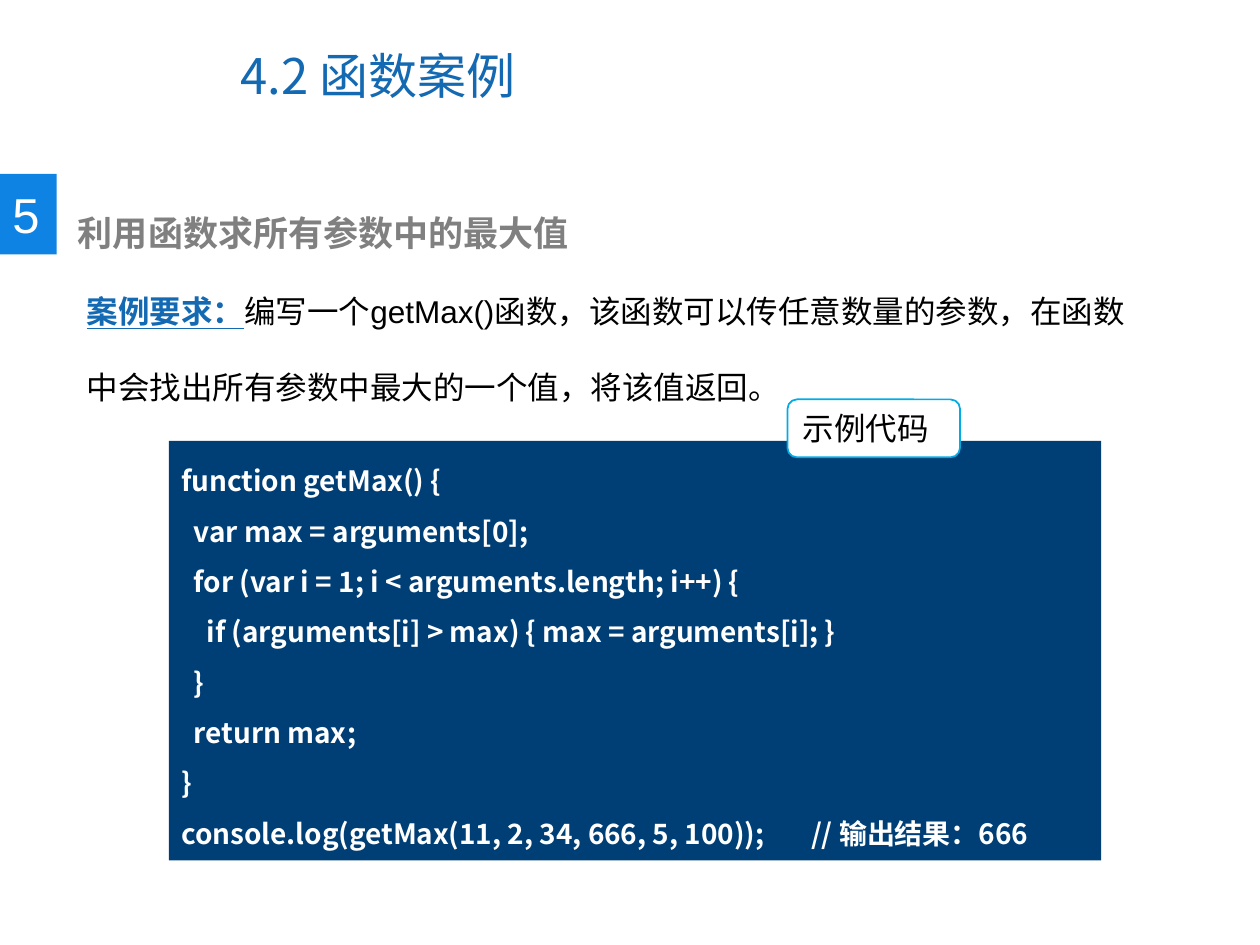
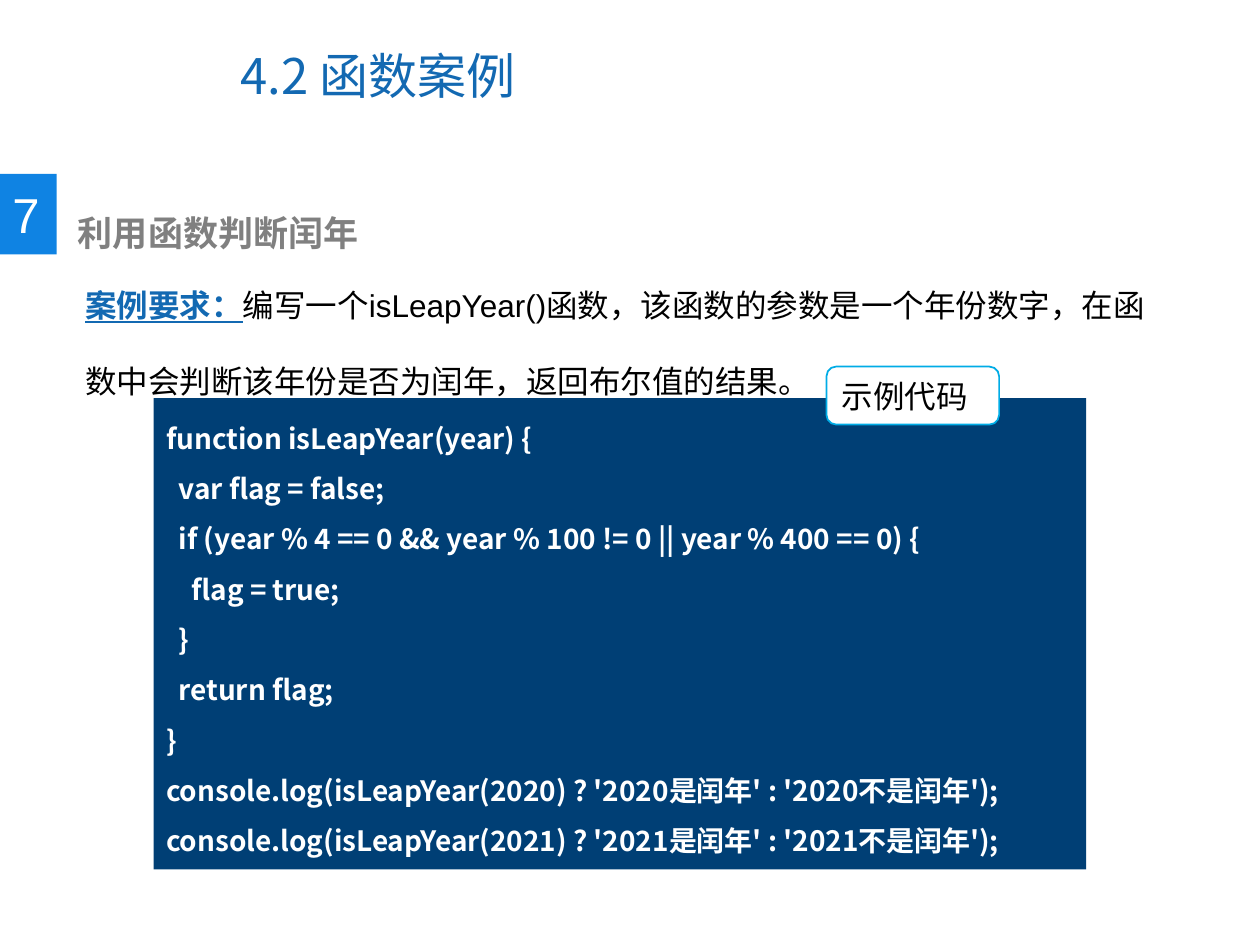
from dataclasses import dataclass

from lxml.etree import SubElement
from pptx import Presentation
from pptx.dml.color import RGBColor
from pptx.enum.shapes import MSO_SHAPE
from pptx.enum.text import MSO_ANCHOR, PP_ALIGN
from pptx.oxml.ns import qn
from pptx.util import Inches, Pt


@dataclass(frozen=True)
class Theme:
    blue: str = "1369B2"
    bright: str = "0F83E3"
    navy: str = "003F75"
    cyan: str = "00ACE6"
    gray: str = "808080"
    black: str = "000000"
    white: str = "FFFFFF"
    latin: str = "Arial"
    cjk: str = "Noto Sans CJK SC"
    large: int = 28
    head: int = 20
    body: int = 18
    code: int = 16


THEME = Theme()

CASES = [
    {
        "number": "5",
        "heading": "利用函数求所有参数中的最大值",
        "task": "编写一个getMax()函数，该函数可以传任意数量的参数，"
                "在函数中会找出所有参数中最大的一个值，将该值返回。",
        "task_box": (0.59, 1.97, 8.65, 1.31),
        "code_box": (1.34, 3.5, 7.4, 3.33),
        "label_shift": (4.91, -0.33),
        "code": """function getMax() {
  var max = arguments[0];
  for (var i = 1; i < arguments.length; i++) {
    if (arguments[i] > max) { max = arguments[i]; }
  }
  return max;
}
console.log(getMax(11, 2, 34, 666, 5, 100));\t// 输出结果：666""",
    },
    {
        "number": "7",
        "heading": "利用函数判断闰年",
        "task": "编写一个isLeapYear()函数，该函数的参数是一个年份数字，"
                "在函数中会判断该年份是否为闰年，返回布尔值的结果。",
        "task_box": (0.58, 1.92, 8.65, 1.31),
        "code_box": (1.22, 3.16, 7.4, 3.74),
        "label_shift": (5.34, -0.25),
        "code": """function isLeapYear(year) {
  var flag = false;
  if (year % 4 == 0 && year % 100 != 0 || year % 400 == 0) {
    flag = true;
  }
  return flag;
}
console.log(isLeapYear(2020) ? '2020是闰年' : '2020不是闰年');
console.log(isLeapYear(2021) ? '2021是闰年' : '2021不是闰年');""",
    },
]


def add_run(para, text, size, color, font=THEME.latin, bold=False, under=False):
    run = para.add_run()
    run.text = text
    run.font.size = Pt(size)
    run.font.color.rgb = RGBColor.from_string(color)
    run.font.name = font
    run.font.bold = bold
    run.font.underline = under
    SubElement(run.font._element, qn("a:ea"), typeface=THEME.cjk)


def add_text(slide, box, anchor=MSO_ANCHOR.TOP):
    """Add a wrapping text box and return its first paragraph."""
    frame = slide.shapes.add_textbox(*map(Inches, box)).text_frame
    frame.word_wrap = True
    frame.vertical_anchor = anchor
    return frame.paragraphs[0]


def add_panel(slide, kind, box, fill, line=None, anchor=MSO_ANCHOR.MIDDLE):
    """Add a filled shape and return its left-aligned text frame."""
    shape = slide.shapes.add_shape(kind, *map(Inches, box))
    shape.shadow.inherit = False
    shape.fill.solid()
    shape.fill.fore_color.rgb = RGBColor.from_string(fill)
    if line:
        shape.line.color.rgb = RGBColor.from_string(line)
        shape.line.width = Pt(1)
    else:
        shape.line.fill.background()
    frame = shape.text_frame
    frame.vertical_anchor = anchor
    frame.paragraphs[0].alignment = PP_ALIGN.LEFT
    return frame


def add_title(slide, box):
    para = add_text(slide, box, MSO_ANCHOR.MIDDLE)
    add_run(para, "4.2 函数案例", THEME.large, THEME.blue, THEME.cjk)


def add_heading(slide, box, number, heading):
    """Put a numbered tag at the left of the box and the heading beside it."""
    left, top, width, height = box
    tag = 0.45
    frame = add_panel(slide, MSO_SHAPE.RECTANGLE, (left, top, tag, height),
                      THEME.bright)
    frame.word_wrap = False
    add_run(frame.paragraphs[0], number, THEME.large, THEME.white)
    para = add_text(slide, (left + tag + 0.07, top + 0.25, width - tag, 0.44))
    add_run(para, heading, THEME.head, THEME.gray, bold=True)


def add_task(slide, box, task):
    para = add_text(slide, box)
    para.line_spacing = 2.0
    add_run(para, "案例要求：", THEME.body, THEME.blue, bold=True, under=True)
    add_run(para, task, THEME.body, THEME.black)


def add_code(slide, box, code, shift):
    """Fill the box with code; shift places the label from its top left."""
    frame = add_panel(slide, MSO_SHAPE.RECTANGLE, box, THEME.navy,
                      anchor=MSO_ANCHOR.TOP)
    for index, line in enumerate(code.split("\n")):
        para = frame.add_paragraph() if index else frame.paragraphs[0]
        para.alignment = PP_ALIGN.LEFT
        para.line_spacing = 1.5
        add_run(para, line, THEME.code, THEME.white, THEME.cjk, bold=True)
    label = (box[0] + shift[0], box[1] + shift[1], 1.37, 0.46)
    frame = add_panel(slide, MSO_SHAPE.ROUNDED_RECTANGLE, label,
                      THEME.white, THEME.cyan)
    add_run(frame.paragraphs[0], "示例代码", THEME.body, THEME.black)


def add_case(deck, case):
    slide = deck.slides.add_slide(deck.slide_layouts[6])
    add_title(slide, (1.81, 0.17, 5.16, 0.85))
    add_heading(slide, (0, 1.38, 5.5, 0.64), case["number"], case["heading"])
    add_task(slide, case["task_box"], case["task"])
    add_code(slide, case["code_box"], case["code"], case["label_shift"])


def main():
    deck = Presentation()
    deck.slide_width, deck.slide_height = Inches(10), Inches(7.5)
    for case in CASES:
        add_case(deck, case)
    deck.save("out.pptx")


if __name__ == "__main__":
    main()
